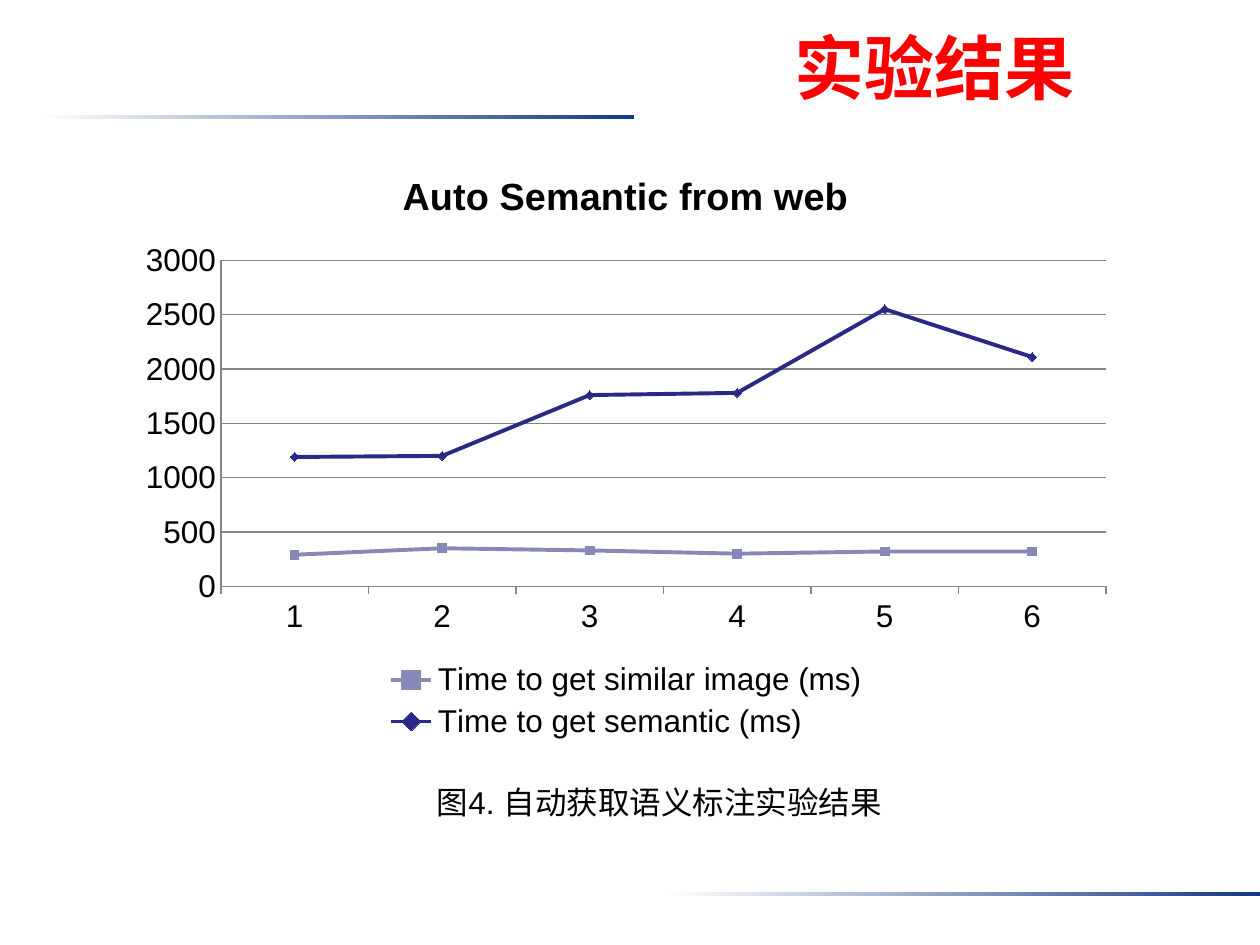
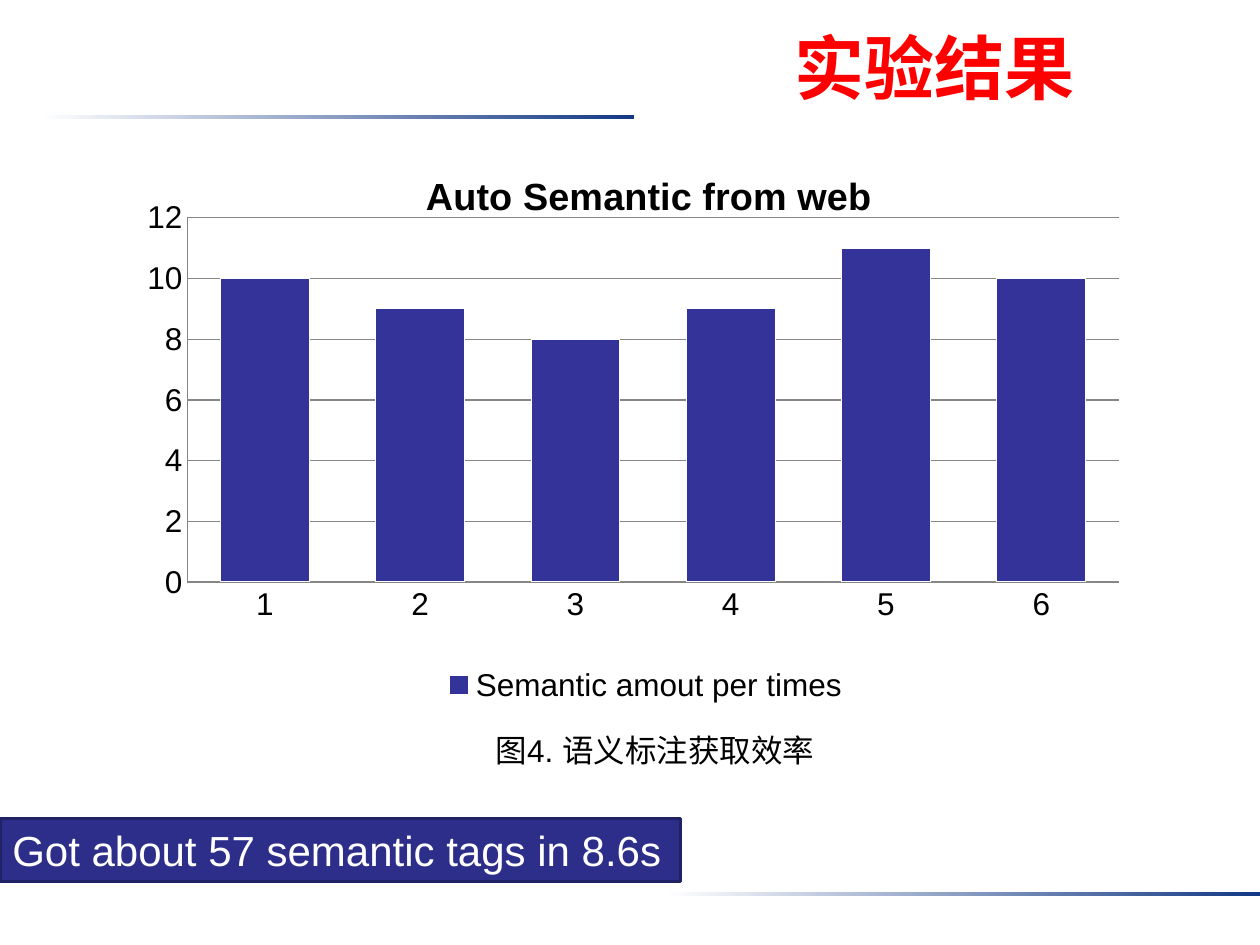
from lxml.etree import SubElement
from pptx import Presentation
from pptx.chart.data import CategoryChartData
from pptx.dml.color import RGBColor
from pptx.enum.chart import XL_CHART_TYPE, XL_LEGEND_POSITION, XL_MARKER_STYLE, XL_TICK_MARK
from pptx.enum.shapes import MSO_SHAPE
from pptx.enum.text import MSO_ANCHOR, PP_ALIGN
from pptx.oxml.ns import qn
from pptx.util import Cm, Pt

# Content; boxes are left, top, width, height in cm, layouts are chart fractions
TITLE = "实验结果"
CHART_TITLE = "Auto Semantic from web"
CATEGORIES = ["1", "2", "3", "4", "5", "6"]
SLIDES = [
    dict(
        kind=XL_CHART_TYPE.LINE_MARKERS_STACKED,
        box=(2.54, 2.97, 20.14, 12.06),
        series=[
            ("Time to get similar image (ms)", (290, 350, 330, 300, 320, 320),
             "8888B8", XL_MARKER_STYLE.SQUARE),
            ("Time to get semantic (ms)", (900, 850, 1430, 1480, 2230, 1790),
             "2A2A86", XL_MARKER_STYLE.DIAMOND),
        ],
        scale=(3000, 500),
        ticks=(XL_TICK_MARK.OUTSIDE, XL_TICK_MARK.INSIDE),
        title_at=(0.27, 0.03),
        plot_at=(0.095, 0.189, 0.886, 0.545),
        legend_at=(0.256, 0.85, 0.49, 0.15),
        caption="图4. 自动获取语义标注实验结果",
        caption_box=(7.5, 15.67, 11.58, 1.02),
    ),
    dict(
        kind=XL_CHART_TYPE.COLUMN_CLUSTERED,
        box=(2.54, 3.33, 20.96, 12.34),
        series=[("Semantic amout per times", (10, 9, 8, 9, 11, 10), "333399", None)],
        scale=(12, 2),
        ticks=(XL_TICK_MARK.NONE, XL_TICK_MARK.NONE),
        title_at=(0.282, 0),
        plot_at=(0.059, 0.086, 0.896, 0.595),
        legend_at=(0.3, 0.812, 0.4, 0.075),
        caption="图4. 语义标注获取效率",
        caption_box=(7.41, 14.61, 11.58, 1.02),
        callout="Got about 57 semantic tags in 8.6s",
    ),
]

# Shared style
FONT = "Arial"
BLACK, WHITE, RED, GREY = "000000", "FFFFFF", "FF0000", "868686"
BAND_END, CALLOUT_FILL, CALLOUT_LINE = "133984", "2D2D8A", "212166"
TITLE_BOX = (12.27, 0.4, 13.13, 1.9)
CALLOUT_BOX = (0, 16.5, 13.72, 1.27)
BAND_W, BAND_H = 11.99, 0.08
BANDS = [(0.79, 2.32), (25.4 - BAND_W, 17.99)]


def rgb(value):
    return RGBColor.from_string(value)


def cm(box):
    return [Cm(v) for v in box]


def style_font(font, size, color, bold=False):
    font.name, font.size, font.bold = FONT, Pt(size), bold
    font.color.rgb = rgb(color)


def write(tf, text, size, color, bold=False):
    p = tf.paragraphs[0]
    p.alignment = PP_ALIGN.CENTER
    r = p.add_run()
    r.text = text
    style_font(r.font, size, color, bold)


def add_box(s, box):
    sp = s.shapes.add_shape(MSO_SHAPE.RECTANGLE, *cm(box))
    sp.shadow.inherit = False
    return sp


def add_bands(s, master):
    """Build the two gradient rules and move them to the master."""
    for left, top in BANDS:
        sp = add_box(s, (left, top, BAND_W, BAND_H))
        sp.line.fill.background()
        sp.fill.gradient()
        sp.fill.gradient_angle = 0
        for position, (stop, color) in enumerate(
                zip(sp.fill.gradient_stops, (WHITE, BAND_END))):
            stop.color.rgb = rgb(color)
            stop.position = position
        master.shapes._spTree.insert(2, sp._element)


def set_layout(parent, values, after=None, inner=False):
    """Give a chart part a fixed place, as its child after the named tag."""
    for old in parent.findall(qn("c:layout")):
        parent.remove(old)
    layout = SubElement(parent, qn("c:layout"))
    anchor = parent.find(qn(after)) if after else None
    parent.insert(0 if anchor is None else parent.index(anchor) + 1, layout)
    manual = SubElement(layout, qn("c:manualLayout"))
    if inner:
        SubElement(manual, qn("c:layoutTarget")).set("val", "inner")
    for name in ("xMode", "yMode"):
        SubElement(manual, qn("c:" + name)).set("val", "edge")
    for name, value in zip("xywh", values):
        SubElement(manual, qn("c:" + name)).set("val", str(value))


def add_series_style(plot, series):
    for item, (_, _, color, marker) in zip(plot.series, series):
        if marker is None:
            item.format.fill.solid()
            item.format.fill.fore_color.rgb = rgb(color)
            item.format.line.color.rgb = rgb(WHITE)
            continue
        item.smooth = False
        item.format.line.color.rgb = rgb(color)
        item.format.line.width = Pt(2.25)
        item.marker.style, item.marker.size = marker, 5
        item.marker.format.fill.solid()
        item.marker.format.fill.fore_color.rgb = rgb(color)
        item.marker.format.line.color.rgb = rgb(color)


def number_from_top(plot):
    """Number the stacked series from the top line down."""
    for number, item in enumerate(reversed(list(plot.series))):
        for tag in ("c:idx", "c:order"):
            item._element.find(qn(tag)).set("val", str(number))


def add_chart(s, part):
    data = CategoryChartData(number_format="General")
    data.categories = CATEGORIES
    for name, values, *_ in part["series"]:
        data.add_series(name, values)
    chart = s.shapes.add_chart(part["kind"], *cm(part["box"]), data).chart
    style_font(chart.font, 18, BLACK)

    # Title and legend
    chart.has_title = True
    write(chart.chart_title.text_frame, CHART_TITLE, 21.6, BLACK, True)
    chart.chart_title.include_in_layout = False
    set_layout(chart.chart_title._element, part["title_at"], "c:tx")
    chart.has_legend = True
    chart.legend.position = XL_LEGEND_POSITION.BOTTOM
    chart.legend.include_in_layout = False
    set_layout(chart.legend._element, part["legend_at"], "c:legendPos")

    # Axes
    for axis, tick in zip((chart.category_axis, chart.value_axis), part["ticks"]):
        axis.major_tick_mark, axis.minor_tick_mark = tick, XL_TICK_MARK.NONE
        axis.format.line.color.rgb = rgb(GREY)
    axis = chart.value_axis
    axis.minimum_scale = 0
    axis.maximum_scale, axis.major_unit = part["scale"]
    axis.has_major_gridlines = True
    axis.major_gridlines.format.line.color.rgb = rgb(GREY)

    # Plot
    plot = chart.plots[0]
    plot.vary_by_categories = False
    add_series_style(plot, part["series"])
    if part["kind"] == XL_CHART_TYPE.COLUMN_CLUSTERED:
        plot.gap_width, plot.overlap = 75, -25
    else:
        number_from_top(plot)
    set_layout(chart._chartSpace.chart.plotArea, part["plot_at"], inner=True)


def add_title(s):
    sp = s.shapes.title
    sp.left, sp.top, sp.width, sp.height = cm(TITLE_BOX)
    sp.text_frame.vertical_anchor = MSO_ANCHOR.MIDDLE
    write(sp.text_frame, TITLE, 40, RED, True)


def add_caption(s, text, box):
    tf = s.shapes.add_textbox(*cm(box)).text_frame
    tf.word_wrap = True
    write(tf, text, 18, BLACK)


def add_callout(s, text):
    sp = add_box(s, CALLOUT_BOX)
    sp.fill.solid()
    sp.fill.fore_color.rgb = rgb(CALLOUT_FILL)
    sp.line.color.rgb = rgb(CALLOUT_LINE)
    sp.line.width = Pt(2)
    tf = sp.text_frame
    tf.word_wrap = False
    tf.margin_left, tf.margin_right = Cm(0.18), Cm(0.32)
    write(tf, text, 24, WHITE)


def main():
    prs = Presentation()
    prs.slide_width, prs.slide_height = Cm(25.4), Cm(19.05)
    for i, part in enumerate(SLIDES):
        s = prs.slides.add_slide(prs.slide_layouts[5])
        if i == 0:
            add_bands(s, prs.slide_master)
        add_title(s)
        add_chart(s, part)
        add_caption(s, part["caption"], part["caption_box"])
        if "callout" in part:
            add_callout(s, part["callout"])
    prs.save("out.pptx")


if __name__ == "__main__":
    main()
